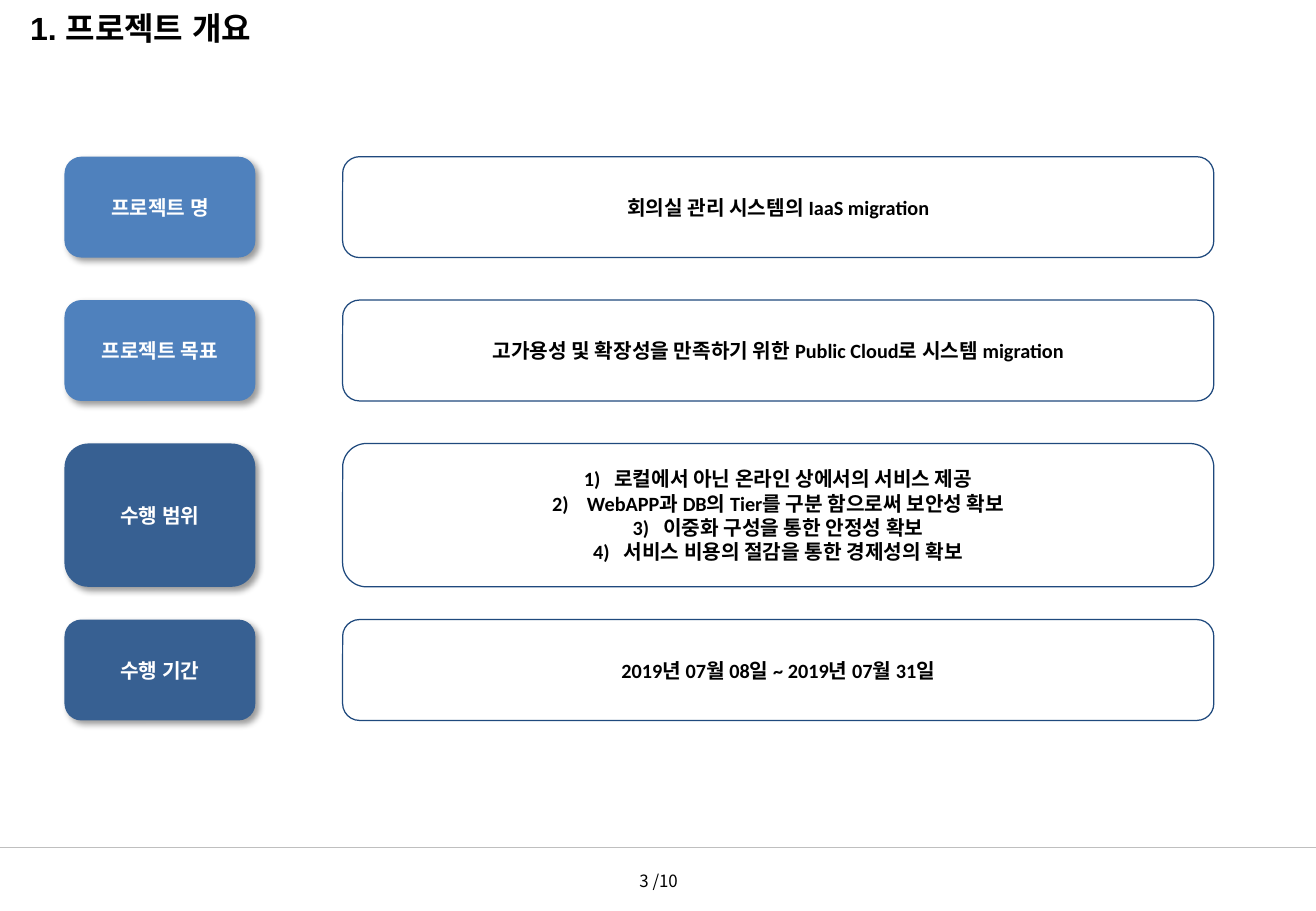
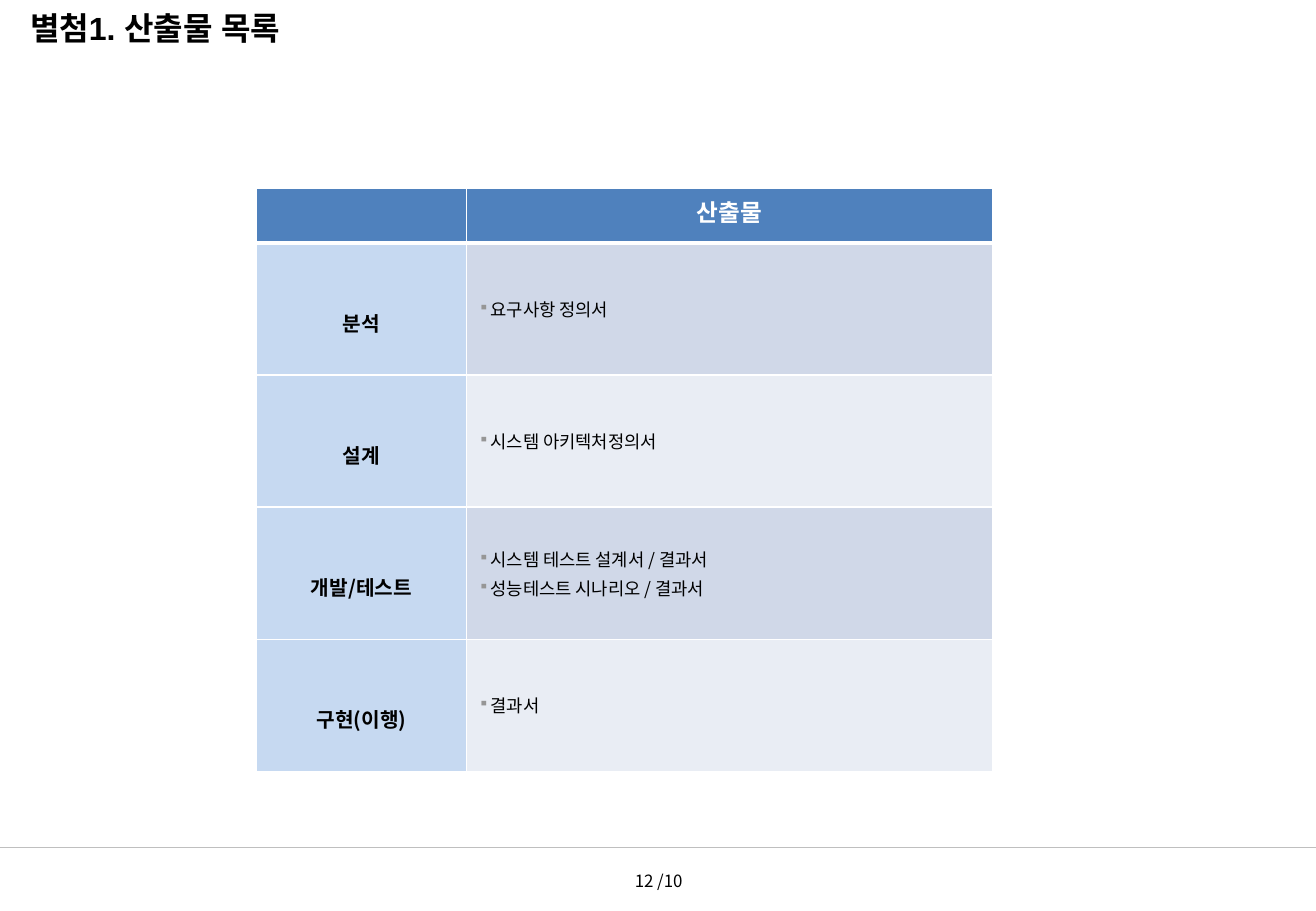
import dataclasses

import lxml.etree
import pptx
import pptx.dml.color
import pptx.enum.shapes
import pptx.enum.text
import pptx.oxml.ns
import pptx.util

ALIGN = pptx.enum.text.PP_ALIGN
ANCHOR = pptx.enum.text.MSO_ANCHOR
SHAPE = pptx.enum.shapes.MSO_SHAPE


@dataclasses.dataclass(frozen=True)
class Theme:
    ink: str = "000000"
    white: str = "FFFFFF"
    rule: str = "BFBFBF"
    edge: str = "1F497D"
    blue: str = "4F81BD"
    navy: str = "376092"
    pale: str = "C6D9F1"
    bands: tuple = ("D0D8E8", "E9EDF4")
    dot: str = "969696"
    head: str = "Arial"
    body: str = "Calibri"
    hangul: str = "Noto Sans CJK KR"
    title: float = 19
    top: float = 14
    text: float = 12
    item: float = 10.5
    foot: float = 10


def color(code):
    return pptx.dml.color.RGBColor.from_string(code)


def add(node, tag, **attrs):
    return lxml.etree.SubElement(node, pptx.oxml.ns.qn(tag), attrs)


class Deck:
    """Hold the theme and current slide; lengths are percent of slide size."""

    def __init__(self, theme):
        self.theme = theme
        self.show = pptx.Presentation()
        self.show.slide_width = pptx.util.Inches(10.83)
        self.show.slide_height = pptx.util.Inches(7.5)
        self.page = None

    def wide(self, share):
        return pptx.util.Emu(round(self.show.slide_width * share / 100))

    def high(self, share):
        return pptx.util.Emu(round(self.show.slide_height * share / 100))

    def place(self, left, top, width, height):
        return self.wide(left), self.high(top), self.wide(width), self.high(height)

    def start(self, title, number):
        look = self.theme
        self.page = self.show.slides.add_slide(self.show.slide_layouts[6])
        self.line(93.07)
        self.label((45.15, 93.87, 9.8, 4.53), f"{number} /10", look.hangul,
                   look.foot, ALIGN.CENTER, ANCHOR.BOTTOM, False)
        self.label((1.39, 0.27, 95.48, 5.73), title, look.head,
                   look.title, ALIGN.LEFT, ANCHOR.TOP, True)

    def line(self, row):
        rule = self.page.shapes.add_connector(
            pptx.enum.shapes.MSO_CONNECTOR.STRAIGHT,
            0, self.high(row), self.wide(100), self.high(row))
        rule.line.color.rgb = color(self.theme.rule)
        rule.line.width = pptx.util.Pt(0.75)
        add(rule._element.spPr, "a:effectLst")

    def words(self, frame, lines, font, size, tint, bold=False,
              align=ALIGN.CENTER, mark=None):
        for index, line in enumerate(lines):
            para = frame.paragraphs[0] if index == 0 else frame.add_paragraph()
            para.alignment = align
            if mark:
                mark(para)
            run = para.add_run()
            run.text = line
            run.font.name = font
            run.font.size = pptx.util.Pt(size)
            run.font.bold = bold
            run.font.color.rgb = color(tint)
            add(run._r.get_or_add_rPr(), "a:ea", typeface=font)

    def indent(self, para, inches):
        props = para._p.get_or_add_pPr()
        step = pptx.util.Inches(inches)
        props.set("marL", str(step))
        props.set("indent", str(-step))
        return props

    def count(self, para):
        add(self.indent(para, 0.25), "a:buAutoNum", type="arabicParenR")

    def dot(self, para):
        para.space_before = pptx.util.Pt(2.1)
        props = self.indent(para, 0.1)
        add(add(props, "a:buClr"), "a:srgbClr", val=self.theme.dot)
        add(props, "a:buSzPct", val="80000")
        add(props, "a:buChar", char="▪")

    def label(self, area, line, font, size, align, anchor, bold):
        frame = self.page.shapes.add_textbox(*self.place(*area)).text_frame
        frame.word_wrap = bold
        frame.vertical_anchor = anchor
        self.words(frame, [line], font, size, self.theme.ink, bold, align)

    def box(self, area, lines, fill=None):
        look = self.theme
        box = self.page.shapes.add_shape(SHAPE.ROUNDED_RECTANGLE, *self.place(*area))
        box.shadow.inherit = False
        if fill:
            box.fill.solid()
            box.fill.fore_color.rgb = color(fill)
            box.line.fill.background()
            self.shade(box)
        else:
            box.fill.background()
            box.line.color.rgb = color(look.edge)
            box.line.width = pptx.util.Pt(0.75)
        box.text_frame.vertical_anchor = ANCHOR.MIDDLE
        self.words(box.text_frame, lines, look.body, look.text,
                   look.white if fill else look.ink, True,
                   mark=self.count if len(lines) > 1 else None)

    def shade(self, box):
        effects = box._element.spPr.find(pptx.oxml.ns.qn("a:effectLst"))
        cast = add(effects, "a:outerShdw", blurRad=str(pptx.util.Pt(4)),
                   dist=str(pptx.util.Pt(3)), dir="2700000", algn="tl", rotWithShape="0")
        add(add(cast, "a:srgbClr", val=self.theme.ink), "a:alpha", val="40000")

    def paint(self, cell, fill, above=1, below=1):
        props = cell._tc.get_or_add_tcPr()
        for side, points in (("L", 1), ("R", 1), ("T", above), ("B", below)):
            edge = add(props, f"a:ln{side}", w=str(pptx.util.Pt(points)))
            add(add(edge, "a:solidFill"), "a:srgbClr", val=self.theme.white)
        cell.fill.solid()
        cell.fill.fore_color.rgb = color(fill)

    def table(self, left, top, cols, first, step, head, rows):
        look = self.theme
        area = self.place(left, top, sum(cols), first + step * len(rows))
        grid = self.page.shapes.add_table(len(rows) + 1, len(cols), *area).table
        for col, share in zip(grid.columns, cols):
            col.width = self.wide(share)
        for index, row in enumerate(grid.rows):
            row.height = self.high(step if index else first)
        for cell in grid.rows[0].cells:
            self.paint(cell, look.blue, below=3)
        self.words(grid.cell(0, 1).text_frame, [head], look.hangul,
                   look.top, look.white, True)
        for index, (phase, items) in enumerate(rows):
            name, works = grid.rows[index + 1].cells
            above = 1 if index else 3
            self.paint(name, look.pale, above)
            self.paint(works, look.bands[index % 2], above)
            name.margin_top = self.high(7.1)
            works.vertical_anchor = ANCHOR.MIDDLE
            self.words(name.text_frame, [phase], look.hangul, look.text, look.ink, True)
            self.words(works.text_frame, items, look.hangul, look.item, look.ink,
                       align=ALIGN.LEFT, mark=self.dot)


def main():
    look = Theme()
    deck = Deck(look)

    deck.start("1. 프로젝트 개요", 3)
    facts = [
        ("프로젝트 명", look.blue, 11.07, 4.67, ["회의실 관리 시스템의 IaaS migration"]),
        ("프로젝트 목표", look.blue, 11.07, 4.67,
         ["고가용성 및 확장성을 만족하기 위한 Public Cloud로 시스템 migration"]),
        ("수행 범위", look.navy, 15.73, 3.6,
         ["로컬에서 아닌 온라인 상에서의 서비스 제공",
          " WebAPP과 DB의 Tier를 구분 함으로써 보안성 확보",
          "이중화 구성을 통한 안정성 확보",
          "서비스 비용의 절감을 통한 경제성의 확보"]),
        ("수행 기간", look.navy, 11.07, 0, ["2019년 07월 08일 ~ 2019년 07월 31일"]),
    ]
    top = 17.2
    for name, tint, height, gap, lines in facts:
        deck.box((4.9, top, 14.5, height), [name], tint)
        deck.box((26.04, top, 66.2, height), lines)
        top += height + gap

    deck.start("별첨1. 산출물 목록", 12)
    deck.table(19.48, 20.67, (15.97, 39.98), 6, 14.5, "산출물", [
        ("분석", ["요구사항 정의서"]),
        ("설계", ["시스템 아키텍처정의서"]),
        ("개발/테스트", ["시스템 테스트 설계서 / 결과서", "성능테스트 시나리오 / 결과서"]),
        ("구현(이행)", ["결과서"]),
    ])
    deck.show.save("out.pptx")


if __name__ == "__main__":
    main()
